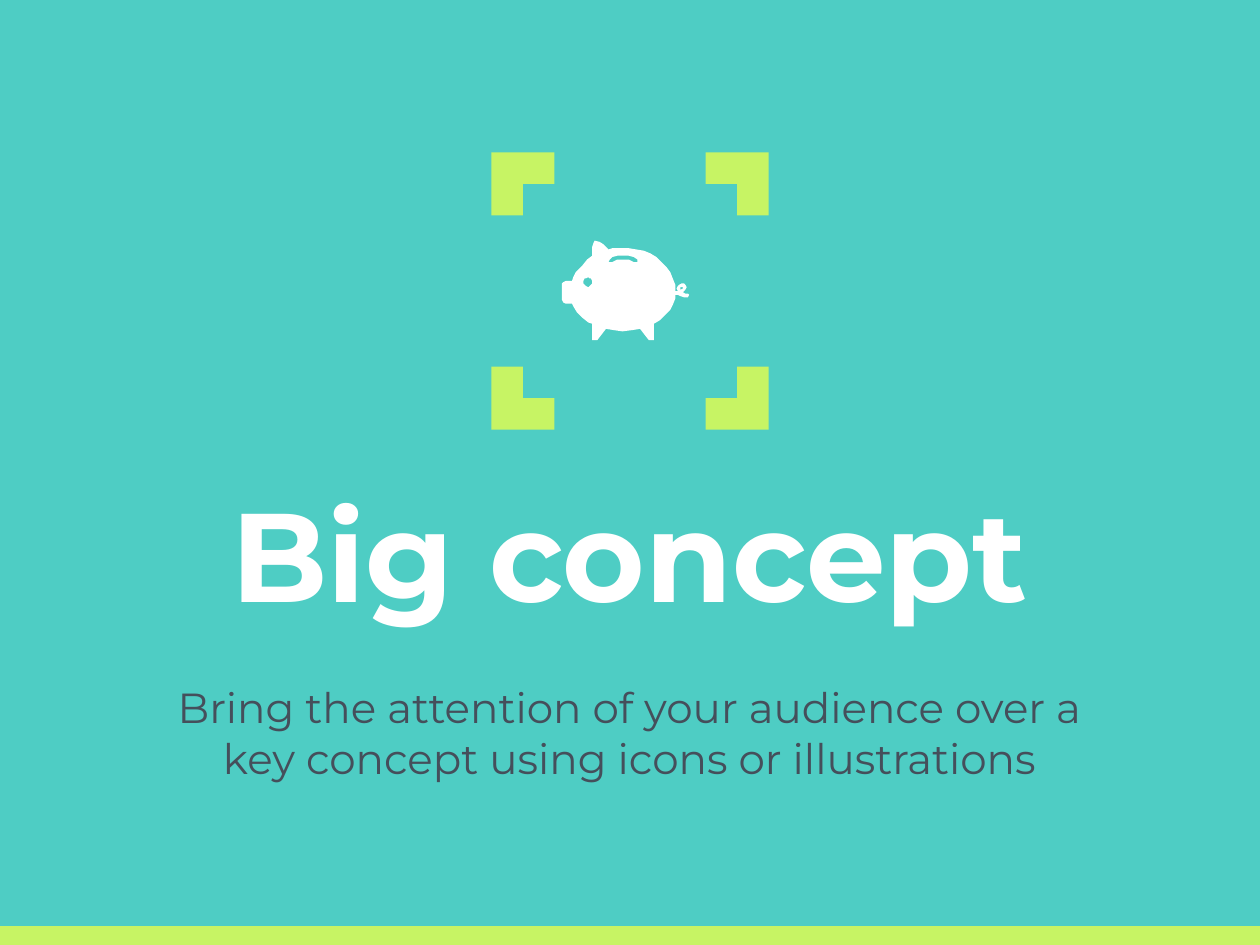
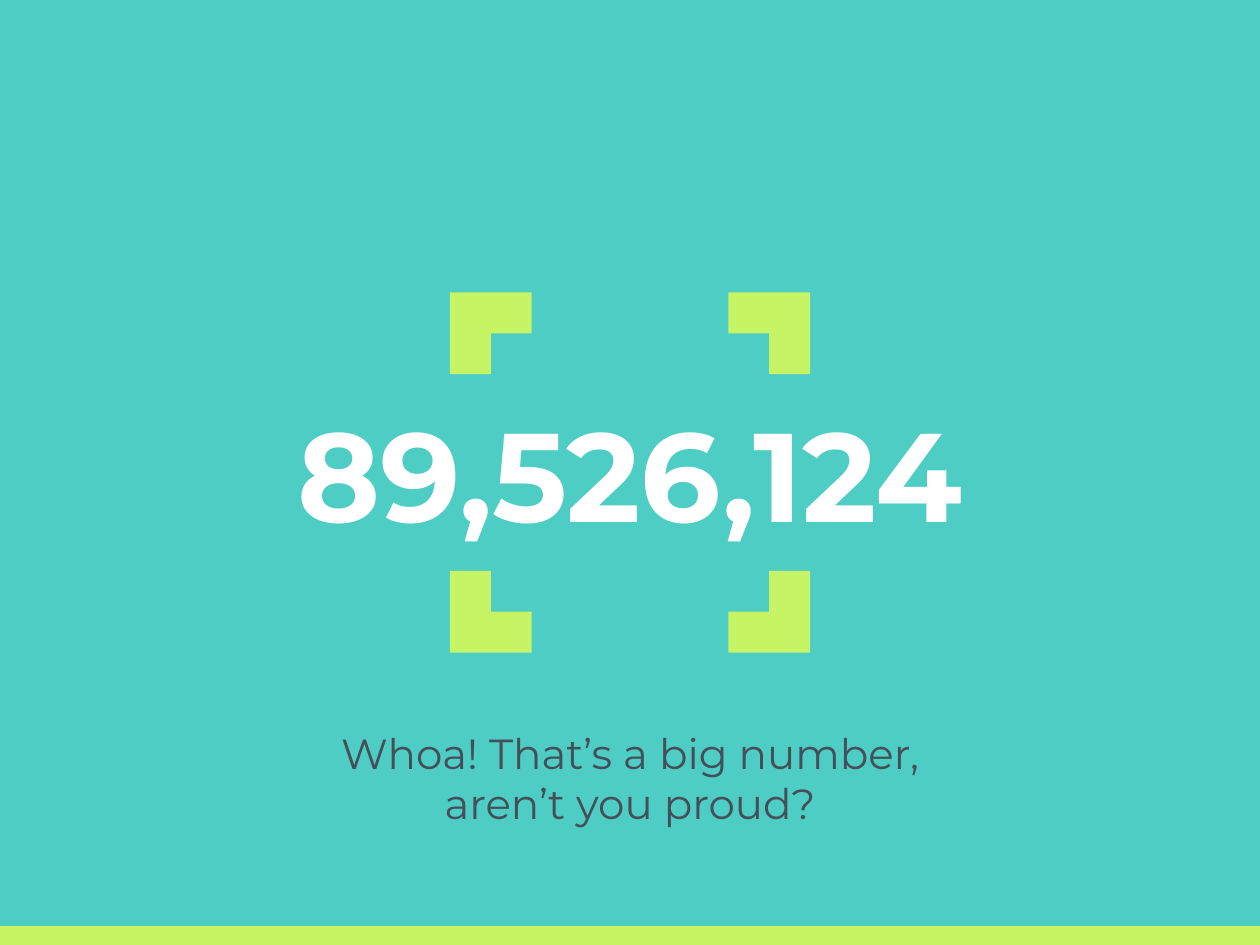
import math

import pptx
import pptx.dml.color
import pptx.enum.shapes
import pptx.enum.text
import pptx.util

Inches = pptx.util.Inches
Anchor = pptx.enum.text.MSO_ANCHOR
Shape = pptx.enum.shapes.MSO_SHAPE

TEAL = pptx.dml.color.RGBColor(0x4E, 0xCD, 0xC4)
LIME = pptx.dml.color.RGBColor(0xC7, 0xF4, 0x64)
SLATE = pptx.dml.color.RGBColor(0x45, 0x4F, 0x5B)
WHITE = pptx.dml.color.RGBColor(0xFF, 0xFF, 0xFF)
FONT = "Montserrat"
WIDTH, HEIGHT, BAND = 10, 7.5, 0.15

# Boxes are left, top, width, height; a frame is top, outer size, arm size.
SLIDES = [
    {
        "title": "Big concept",
        "title_box": (1.06, 3.39, 7.87, 1.69),
        "anchor": Anchor.BOTTOM,
        "text": "Bring the attention of your audience over a key concept "
                "using icons or illustrations",
        "text_box": (1.06, 5.31, 7.87, 1.14),
        "frame": (1.21, 2.2, 0.5),
        "pig": True,
    },
    {
        "title": "89,526,124",
        "title_box": (0.75, 2.31, 8.5, 2.87),
        "anchor": Anchor.MIDDLE,
        "text": "Whoa! That’s a big number, aren’t you proud?",
        "text_box": (2.3, 5.67, 5.4, 1.14),
        "frame": (2.32, 2.86, 0.65),
        "pig": False,
    },
]

# The piggy bank, in hundredths of an inch on the slide.
EAR = [(472, 191), (471, 193), (470, 196), (470, 203)]
SNOUT = [(466, 206), (462, 211), (457, 216), (455, 220), (454, 223),
         (449, 223), (447, 223.5), (446, 225), (446, 238), (447, 240),
         (449, 241), (454, 241)]
BELLY = [(455, 243), (458, 248), (462, 252), (467, 255.5), (470, 257),
         (470, 270), (474, 270), (481, 261), (487, 262.5), (494, 263),
         (502, 262.5), (508, 261), (515, 270), (519, 270), (519, 257)]
RUMP = [(524, 254), (528, 250.5), (532, 246), (534, 241.5), (535.5, 237),
        (536, 234)]
TAIL = [(538, 234), (540, 235), (543, 236.3), (546, 236), (547, 234.5),
        (546, 233), (544, 233), (542, 232.5), (544, 230.5), (545, 228),
        (544.5, 226), (543, 225), (541, 224.8), (539, 225.5), (538, 227),
        (537.3, 229), (537.5, 231), (536, 231)]
BACK = [(535.5, 226), (534.5, 221), (532, 216), (529, 211.5), (525, 207.5),
        (521, 204), (516, 201), (511, 199), (505, 197.5), (499, 196.8),
        (492, 196.7), (486, 197.3), (483, 198)]
BROW = [(481, 196), (479, 193.5), (476, 192)]
SLOT = [(494.5, 203), (499, 203.2), (503, 204.3), (506, 206.2), (506, 207.5),
        (505, 208.5), (503, 208), (499, 206.3), (494.5, 205.7), (490, 206.3),
        (486, 208), (484.5, 208.5), (483.3, 207.5), (483.5, 206.2),
        (486, 204.3), (490, 203.2)]
LOOP = [(542, 228), (541.5, 229), (540, 230), (540.5, 228.5)]
EYE = [(466.6 + 3.6 * math.cos(turn * math.pi / 8),
        223.9 + 3.6 * math.sin(turn * math.pi / 8)) for turn in range(16)]
PIG = [EAR + SNOUT + BELLY + RUMP + TAIL + BACK + BROW, SLOT, LOOP, EYE]


def paint(shape, color):
    shape.fill.solid()
    shape.fill.fore_color.rgb = color
    shape.line.fill.background()
    shape.shadow.inherit = False


def add_band(master, slide):
    """Draw the bottom band and hand it over to the slide master."""
    band = slide.shapes.add_shape(
        Shape.RECTANGLE, 0, Inches(HEIGHT - BAND), Inches(WIDTH), Inches(BAND))
    paint(band, LIME)
    band.element.nvSpPr.cNvPr.set("id", "20")
    master.shapes.element.insert(2, band.element)


def fill_text(holder, text, box, anchor, size, color, bold):
    holder.left, holder.top, holder.width, holder.height = map(Inches, box)
    frame = holder.text_frame
    frame.text = text
    frame.word_wrap = True
    frame.auto_size = pptx.enum.text.MSO_AUTO_SIZE.NONE
    frame.vertical_anchor = anchor
    frame.margin_left = frame.margin_right = Inches(0.1)
    frame.margin_top = frame.margin_bottom = Inches(0.1)
    line = frame.paragraphs[0]
    line.alignment = pptx.enum.text.PP_ALIGN.CENTER
    line.space_before = pptx.util.Pt(0)
    line.font.name = FONT
    line.font.size = pptx.util.Pt(size)
    line.font.bold = bold
    line.font.color.rgb = color


def add_frame(slide, top, outer, arm):
    """Mark the corners of a centred square with four L shapes."""
    group = slide.shapes.add_group_shape()
    left, step = (WIDTH - outer) / 2, outer - arm
    for col, row, turn in [(0, 1, 0), (1, 1, 270), (0, 0, 90), (1, 0, 180)]:
        corner = group.shapes.add_shape(
            Shape.CORNER, Inches(left + col * step), Inches(top + row * step),
            Inches(arm), Inches(arm))
        corner.rotation = turn
        paint(corner, LIME)


def add_pig(slide):
    pen = slide.shapes.build_freeform(*PIG[0][0], scale=Inches(1) / 100)
    pen.add_line_segments(PIG[0][1:], close=True)
    for hole in PIG[1:]:
        pen.move_to(*hole[0])
        pen.add_line_segments(hole[1:], close=True)
    paint(pen.convert_to_shape(), WHITE)


def main():
    deck = pptx.Presentation()
    deck.slide_width, deck.slide_height = Inches(WIDTH), Inches(HEIGHT)
    master = deck.slide_master
    master.background.fill.solid()
    master.background.fill.fore_color.rgb = TEAL
    for index, item in enumerate(SLIDES):
        slide = deck.slides.add_slide(deck.slide_layouts[0])
        if index == 0:
            add_band(master, slide)
        fill_text(slide.shapes.title, item["title"], item["title_box"],
                  item["anchor"], 72, WHITE, True)
        fill_text(slide.placeholders[1], item["text"], item["text_box"],
                  Anchor.TOP, 24, SLATE, False)
        add_frame(slide, *item["frame"])
        if item["pig"]:
            add_pig(slide)
    deck.save("out.pptx")


if __name__ == "__main__":
    main()
